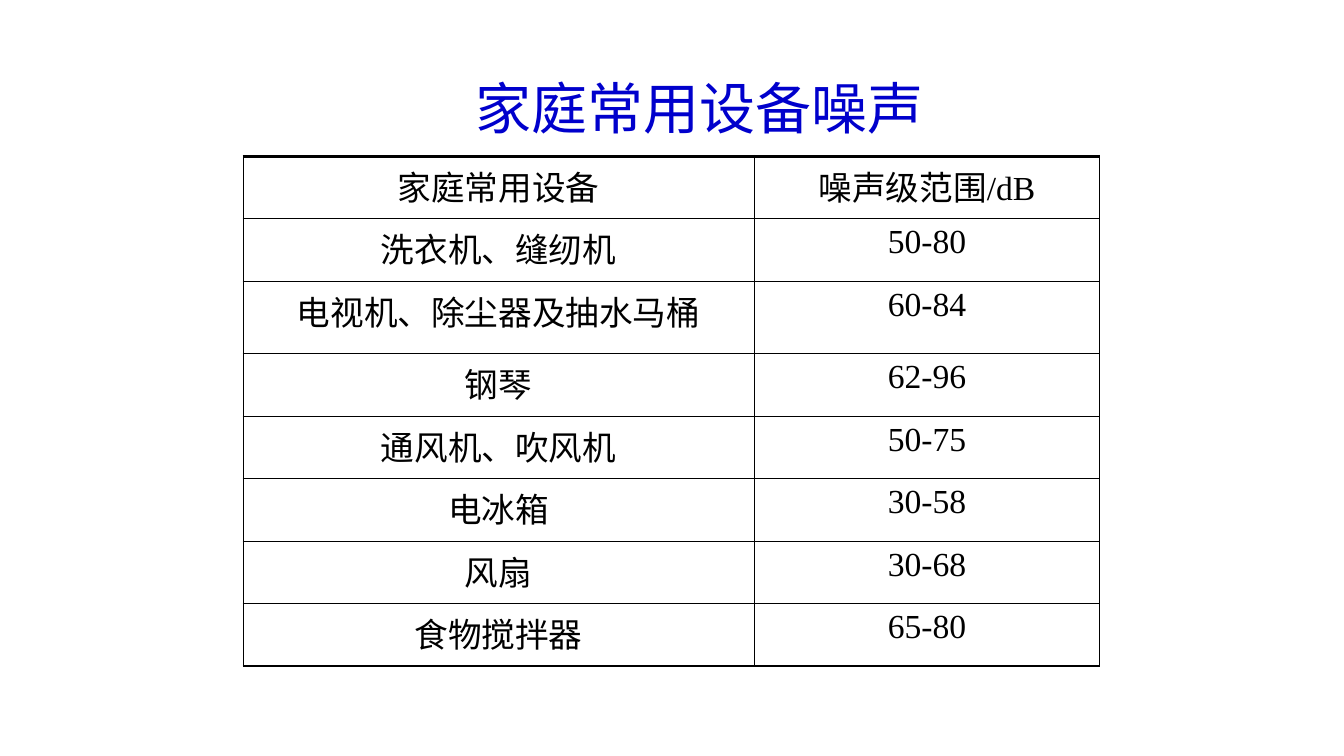
from lxml.etree import SubElement
from pptx import Presentation
from pptx.dml.color import RGBColor
from pptx.enum.text import MSO_ANCHOR, PP_ALIGN
from pptx.oxml import parse_xml
from pptx.oxml.ns import nsdecls, qn
from pptx.util import Inches, Pt

TITLE = "家庭常用设备噪声"
ROWS = [
    ("家庭常用设备", "噪声级范围/dB"),
    ("洗衣机、缝纫机", "50-80"),
    ("电视机、除尘器及抽水马桶", "60-84"),
    ("钢琴", "62-96"),
    ("通风机、吹风机", "50-75"),
    ("电冰箱", "30-58"),
    ("风扇", "30-68"),
    ("食物搅拌器", "65-80"),
]
WIDTHS = (5.07, 3.43)
HEIGHT, TALL, TALL_ROW = 0.62, 0.72, 2
THEME = {
    "ink": "000000", "title": "0000CC",
    "latin": "Times New Roman", "asian": "Noto Sans CJK SC",
    "body": 24, "head": 40,
    "thick": 2.25, "inner": 1, "side": 0.75,
}


def write(frame, text, size, color, font, align):
    para = frame.paragraphs[0]
    para.alignment = align
    run = para.add_run()
    run.text = text
    run.font.size = Pt(size)
    run.font.name = font
    run.font.color.rgb = RGBColor.from_string(color)
    asian = SubElement(run.font._element, qn("a:ea"))
    asian.set("typeface", THEME["asian"])


def border(cell, sides):
    props = cell._tc.get_or_add_tcPr()
    for spot, (side, width) in enumerate(sides.items()):
        line = parse_xml(
            f'<a:ln{side} {nsdecls("a")} w="{int(Pt(width))}">'
            f'<a:solidFill><a:srgbClr val="{THEME["ink"]}"/></a:solidFill>'
            f'</a:ln{side}>')
        props.insert(spot, line)


def add_title(slide):
    box = slide.shapes.add_textbox(Inches(4.62), Inches(0.68), Inches(4.78), Inches(0.77))
    frame = box.text_frame
    frame.word_wrap = True
    frame.vertical_anchor = MSO_ANCHOR.MIDDLE
    write(frame, TITLE, size=THEME["head"], color=THEME["title"],
          font=THEME["asian"], align=PP_ALIGN.LEFT)


def add_noise(slide):
    heights = [TALL if i == TALL_ROW else HEIGHT for i in range(len(ROWS))]
    table = slide.shapes.add_table(
        len(ROWS), len(WIDTHS), Inches(2.41), Inches(1.55),
        Inches(sum(WIDTHS)), Inches(sum(heights))).table
    table.first_row = table.horz_banding = False
    for col, width in zip(table.columns, WIDTHS):
        col.width = Inches(width)
    for i, (row, height) in enumerate(zip(table.rows, heights)):
        row.height = Inches(height)
        for j, text in enumerate(ROWS[i]):
            cell = table.cell(i, j)
            cell.fill.background()
            cell.vertical_anchor = MSO_ANCHOR.TOP
            write(cell.text_frame, text, size=THEME["body"], color=THEME["ink"],
                  font=THEME["latin"], align=PP_ALIGN.CENTER)
            border(cell, {
                "L": THEME["side" if j == 0 else "inner"],
                "R": THEME["side" if j == len(WIDTHS) - 1 else "inner"],
                "T": THEME["thick" if i == 0 else "inner"],
                "B": THEME["thick" if i == len(ROWS) - 1 else "inner"],
            })


def main():
    deck = Presentation()
    deck.slide_width, deck.slide_height = Inches(13.33), Inches(7.5)
    slide = deck.slides.add_slide(deck.slide_layouts[6])
    add_noise(slide)
    add_title(slide)
    deck.save("out.pptx")


if __name__ == "__main__":
    main()
